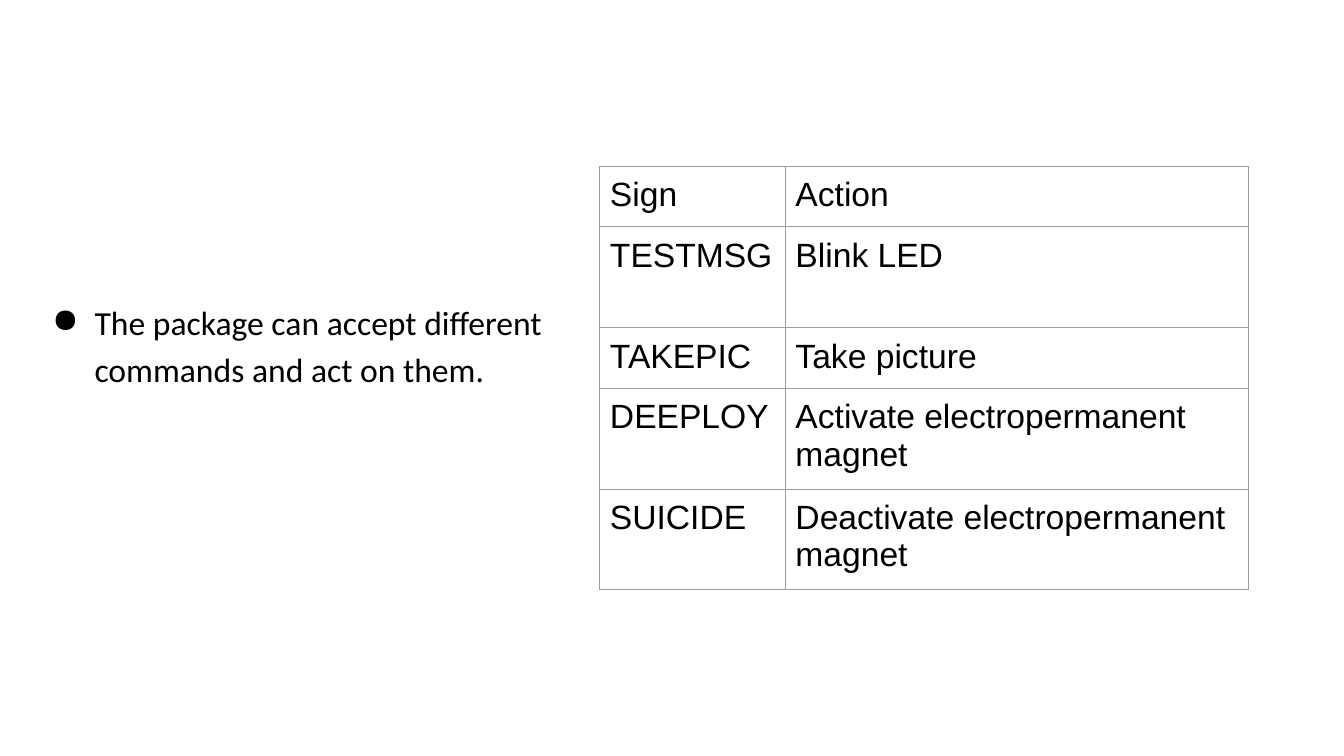
"""Build a slide with one bullet beside a table of commands."""
from lxml import etree
from pptx import Presentation
from pptx.dml.color import RGBColor
from pptx.enum.text import MSO_ANCHOR, MSO_AUTO_SIZE
from pptx.oxml.ns import qn
from pptx.util import Inches, Pt

TOP = MSO_ANCHOR.TOP
GROW = MSO_AUTO_SIZE.SHAPE_TO_FIT_TEXT

COLORS = {"text": "000000", "border": "9E9E9E"}
BULLET_TEXT = "The package can accept different commands and act on them."
COMMANDS = [
    ("Sign", "Action"),
    ("TESTMSG", "Blink LED"),
    ("TAKEPIC", "Take picture"),
    ("DEEPLOY", "Activate electropermanent magnet"),
    ("SUICIDE", "Deactivate electropermanent magnet"),
]
COL_WIDTHS = [1.84, 4.59]
ROW_HEIGHTS = [0.6, 1, 0.6, 1, 1]
TABLE_POS = (5.95, 1.65)
BULLET_BOX = (0.34, 2.84, 5.47, 1.54)
MARGINS = {f"margin_{side}": Inches(0.1) for side in ("left", "right", "top", "bottom")}
BODY = {"size": Pt(24), "bold": False}


def set_attrs(obj, values):
    for name, value in values.items():
        setattr(obj, name, value)


def add_color(parent, color):
    etree.SubElement(parent, qn("a:srgbClr"), val=COLORS[color])


def write(p, text, font):
    r = p.add_run()
    r.text = text
    set_attrs(r.font, {**BODY, "name": font})
    r.font.color.rgb = RGBColor.from_string(COLORS["text"])


def add_bullet(p):
    pPr = p._p.get_or_add_pPr()
    pPr.set("marL", str(Inches(0.5)))
    pPr.set("indent", str(Inches(-0.42)))
    add_color(etree.SubElement(pPr, qn("a:buClr")), "text")
    etree.SubElement(pPr, qn("a:buChar"), char="●")
    p.line_spacing = 1.15


def add_borders(cell):
    tcPr = cell._tc.get_or_add_tcPr()
    for side in ("lnL", "lnR", "lnT", "lnB"):
        ln = etree.SubElement(tcPr, qn(f"a:{side}"), w=str(Pt(0.75)))
        add_color(etree.SubElement(ln, qn("a:solidFill")), "border")


def add_statement(s):
    tf = s.shapes.add_textbox(*map(Inches, BULLET_BOX)).text_frame
    set_attrs(tf, {**MARGINS, "word_wrap": True, "auto_size": GROW, "vertical_anchor": TOP})
    p = tf.paragraphs[0]
    add_bullet(p)
    write(p, BULLET_TEXT, "Calibri")


def add_commands(s):
    size = (sum(COL_WIDTHS), sum(ROW_HEIGHTS))
    table = s.shapes.add_table(
        len(COMMANDS), len(COL_WIDTHS), *map(Inches, TABLE_POS + size)
    ).table
    set_attrs(table, {"first_row": False, "horz_banding": False})
    for col, width in zip(table.columns, COL_WIDTHS):
        col.width = Inches(width)
    for row, height, texts in zip(table.rows, ROW_HEIGHTS, COMMANDS):
        row.height = Inches(height)
        for cell, text in zip(row.cells, texts):
            set_attrs(cell, {**MARGINS, "vertical_anchor": TOP})
            add_borders(cell)
            cell.fill.background()
            write(cell.text_frame.paragraphs[0], text, "Arial")


def main():
    prs = Presentation()
    set_attrs(prs, {"slide_width": Inches(13.33), "slide_height": Inches(7.5)})
    s = prs.slides.add_slide(prs.slide_layouts[6])
    add_statement(s)
    add_commands(s)
    prs.save("out.pptx")


if __name__ == "__main__":
    main()
